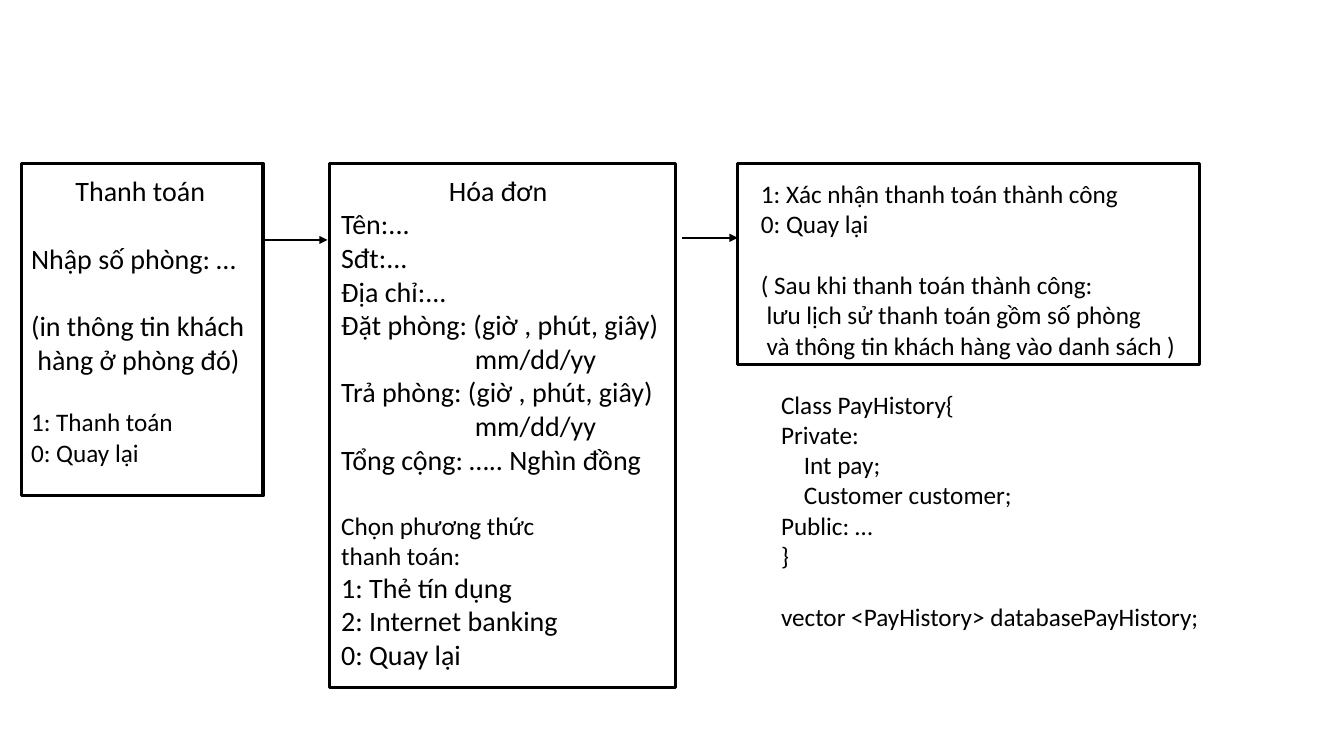
"""Build the payment flow slide: three screens, two arrows and a class sketch."""
from dataclasses import dataclass

import lxml.etree
import pptx
import pptx.dml.color
import pptx.enum.shapes
import pptx.enum.text
import pptx.oxml.ns
import pptx.slide
import pptx.util

Pt = pptx.util.Pt


@dataclass(frozen=True)
class Theme:
    """Colours, font, type sizes and line widths in points."""
    ink: pptx.dml.color.RGBColor = pptx.dml.color.RGBColor(0, 0, 0)
    paper: pptx.dml.color.RGBColor = pptx.dml.color.RGBColor(255, 255, 255)
    font: str = "Calibri"
    large: int = 20
    small: int = 18
    line_height: float = 1.22
    frame_width: float = 2.25
    arrow_width: float = 1.5


THEME = Theme()


@dataclass(frozen=True)
class Box:
    """A rectangle in points."""
    left: float
    top: float
    width: float
    height: float


@dataclass(frozen=True)
class Line:
    """One line of text; gap is the type size of the empty line above it."""
    text: str
    size: int = THEME.large
    indent: float = 0
    gap: int = 0


@dataclass(frozen=True)
class TextBlock:
    """Lines of text and the box that holds them."""
    box: Box
    lines: tuple[Line, ...]


@dataclass(frozen=True)
class Arrow:
    """A horizontal arrow in points."""
    start: float
    end: float
    y: float


FRAME_TOP = 116.64
TEXT_TOP = 120.2
DATE_INDENT = 95.5
HANGING_INDENT = 4.1
CODE_INDENT = 16.3
SMALL = THEME.small
LARGE = THEME.large

PAYMENT_FRAME = Box(15.1, FRAME_TOP, 172.8, 237.6)
INVOICE_FRAME = Box(235.4, FRAME_TOP, 247, 374.4)
CONFIRM_FRAME = Box(527, FRAME_TOP, 329.8, 144)
FRAMES = (PAYMENT_FRAME, INVOICE_FRAME, CONFIRM_FRAME)

ARROWS = (
    Arrow(189.4, 234, 171.4),
    Arrow(487.4, CONFIRM_FRAME.left, 169.9),
)

PAYMENT = TextBlock(Box(PAYMENT_FRAME.left, TEXT_TOP, 172.8, 218), (
    Line("Thanh toán", indent=31.7),
    Line("Nhập số phòng: …", gap=LARGE),
    Line("(in thông tin khách", gap=LARGE),
    Line("hàng ở phòng đó)", indent=4.5),
    Line("1: Thanh toán", SMALL, gap=SMALL),
    Line("0: Quay lại", SMALL),
))
INVOICE = TextBlock(Box(236.6, TEXT_TOP, 244, 390), (
    Line("Hóa đơn", indent=77),
    Line("Tên:..."),
    Line("Sđt:..."),
    Line("Địa chỉ:..."),
    Line("Đặt phòng: (giờ , phút, giây)"),
    Line("mm/dd/yy", indent=DATE_INDENT),
    Line("Trả phòng: (giờ , phút, giây)"),
    Line("mm/dd/yy", indent=DATE_INDENT),
    Line("Tổng cộng: ….. Nghìn đồng"),
    Line("Chọn phương thức", SMALL, gap=LARGE),
    Line("thanh toán:", SMALL),
    Line("1: Thẻ tín dụng"),
    Line("2: Internet banking"),
    Line("0: Quay lại"),
))
CONFIRM = TextBlock(Box(536.4, 123.8, 316, 138), (
    Line("1: Xác nhận thanh toán thành công", SMALL),
    Line("0: Quay lại", SMALL),
    Line("( Sau khi thanh toán thành công:", SMALL, gap=SMALL),
    Line("lưu lịch sử thanh toán gồm số phòng", SMALL, HANGING_INDENT),
    Line("và thông tin khách hàng vào danh sách )", SMALL, HANGING_INDENT),
))
PAY_HISTORY = TextBlock(Box(550.8, 274.3, 317, 181.4), (
    Line("Class PayHistory{", SMALL),
    Line("Private:", SMALL),
    Line("Int pay;", SMALL, CODE_INDENT),
    Line("Customer customer;", SMALL, CODE_INDENT),
    Line("Public: …", SMALL),
    Line("}", SMALL),
    Line("vector <PayHistory> databasePayHistory;", SMALL, gap=SMALL),
))


def lengths(box: Box) -> tuple[pptx.util.Length, ...]:
    """Return the box as left, top, width and height lengths."""
    return Pt(box.left), Pt(box.top), Pt(box.width), Pt(box.height)


def draw_frame(slide: pptx.slide.Slide, box: Box) -> None:
    """Draw one outlined screen."""
    rectangle = pptx.enum.shapes.MSO_SHAPE.RECTANGLE
    shape = slide.shapes.add_shape(rectangle, *lengths(box))
    shape.shadow.inherit = False
    shape.fill.solid()
    shape.fill.fore_color.rgb = THEME.paper
    shape.line.color.rgb = THEME.ink
    shape.line.width = Pt(THEME.frame_width)


def draw_arrow(slide: pptx.slide.Slide, arrow: Arrow) -> None:
    """Draw an arrow from one screen to the next."""
    connector = slide.shapes.add_connector(
        pptx.enum.shapes.MSO_CONNECTOR.STRAIGHT,
        Pt(arrow.start), Pt(arrow.y), Pt(arrow.end), Pt(arrow.y))
    connector.line.color.rgb = THEME.ink
    connector.line.width = Pt(THEME.arrow_width)
    qualified = pptx.oxml.ns.qn
    line = connector.line._get_or_add_ln()
    lxml.etree.SubElement(line, qualified("a:tailEnd"), type="triangle")
    lxml.etree.SubElement(connector._element.spPr, qualified("a:effectLst"))


def draw_text(slide: pptx.slide.Slide, block: TextBlock) -> None:
    """Write the lines of a block, one paragraph each."""
    text_frame = slide.shapes.add_textbox(*lengths(block.box)).text_frame
    text_frame.word_wrap = True
    text_frame.auto_size = pptx.enum.text.MSO_AUTO_SIZE.NONE
    text_frame.text = "\n".join(line.text for line in block.lines)
    for paragraph, line in zip(text_frame.paragraphs, block.lines):
        paragraph.space_before = Pt(line.gap * THEME.line_height)
        properties = paragraph._p.get_or_add_pPr()
        properties.set("marL", str(int(Pt(line.indent))))
        properties.set("indent", "0")
        for run in paragraph.runs:
            run.font.name = THEME.font
            run.font.size = Pt(line.size)
            run.font.color.rgb = THEME.ink


def main() -> None:
    """Build and save the presentation."""
    presentation = pptx.Presentation()
    presentation.slide_width = Pt(960)
    presentation.slide_height = Pt(540)
    slide = presentation.slides.add_slide(presentation.slide_layouts[6])
    for frame in FRAMES:
        draw_frame(slide, frame)
    for arrow in ARROWS:
        draw_arrow(slide, arrow)
    for block in (PAYMENT, INVOICE, CONFIRM, PAY_HISTORY):
        draw_text(slide, block)
    presentation.save("out.pptx")


main()
